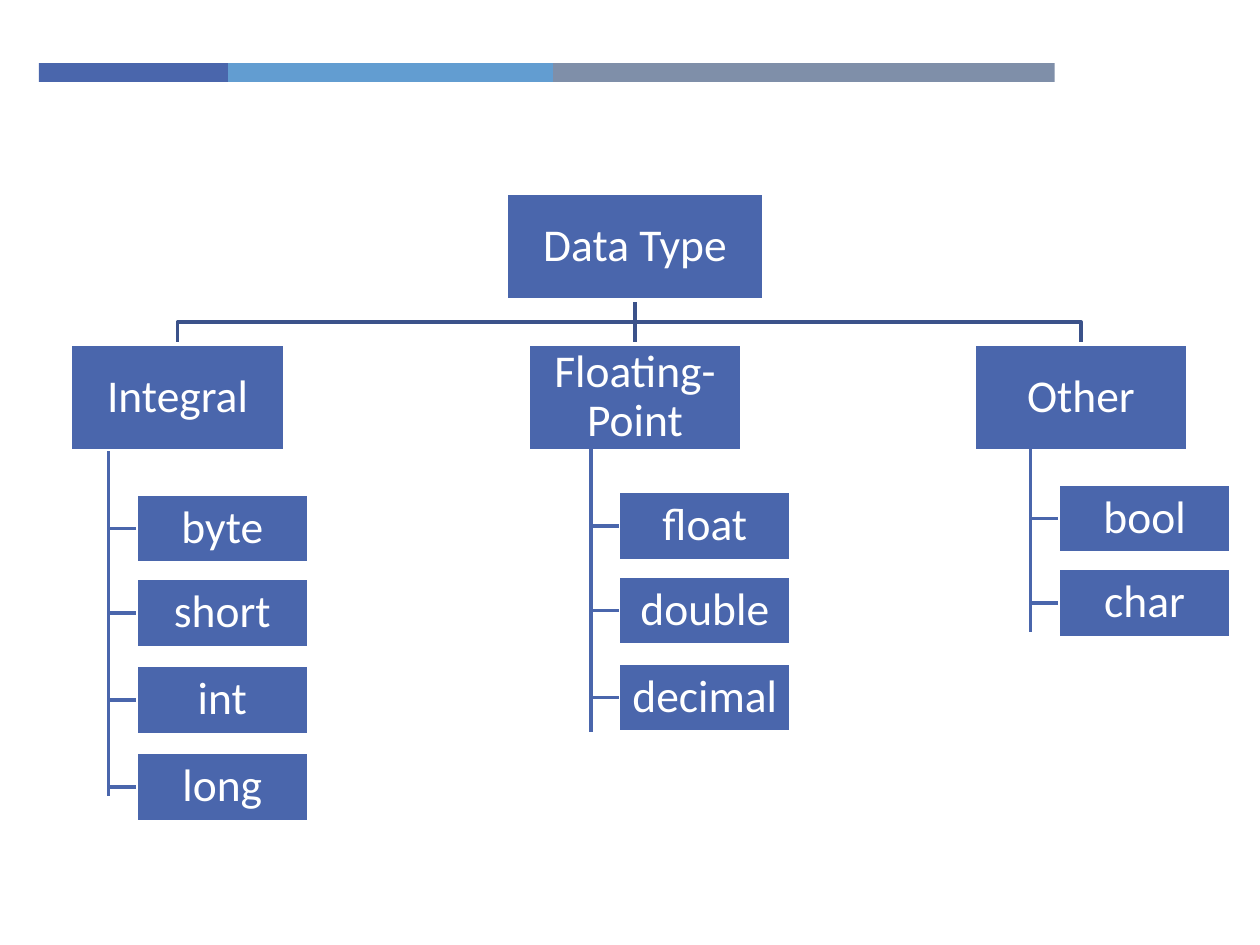
from dataclasses import dataclass

from lxml import etree
from pptx import Presentation
from pptx.dml.color import RGBColor
from pptx.enum.shapes import MSO_CONNECTOR, MSO_SHAPE
from pptx.enum.text import MSO_ANCHOR, PP_ALIGN
from pptx.oxml.ns import qn
from pptx.util import Inches, Pt

RECTANGLE = MSO_SHAPE.RECTANGLE
STRAIGHT = MSO_CONNECTOR.STRAIGHT
MIDDLE = MSO_ANCHOR.MIDDLE
CENTER = PP_ALIGN.CENTER

BLUE, DARK_BLUE, WHITE = "4A66AC", "3B528A", "FFFFFF"
LINE_WIDTH = Pt(2)
INSET = Inches(0.02)
FRAME_FORMAT = {
    "word_wrap": True,
    "vertical_anchor": MIDDLE,
    "margin_left": INSET,
    "margin_top": INSET,
    "margin_right": INSET,
    "margin_bottom": INSET,
}
PARAGRAPH_FORMAT = {"alignment": CENTER, "line_spacing": 0.9}
FONT_FORMAT = {"name": "Calibri", "size": Pt(26)}

ROOT_LEFT, ROOT_TOP, ROOT_WIDTH = 4.02, 1.53, 2.04
NODE_WIDTH, NODE_HEIGHT = 1.7, 0.85
LEAF_WIDTH, LEAF_HEIGHT = 1.37, 0.55
ROOT_CENTER = ROOT_LEFT + ROOT_WIDTH / 2
ROOT_BOTTOM = ROOT_TOP + NODE_HEIGHT
BRANCH_TOP = 2.73
ELBOW_TOP = (ROOT_BOTTOM + BRANCH_TOP) / 2
STUB_LENGTH = 0.22
TRUNK_RISE = 0.34
LEAF_OFFSETS = (0, 0.67, 1.36, 2.05)


@dataclass(frozen=True)
class Band:
    width: float
    color: str


@dataclass(frozen=True)
class Branch:
    name: str
    left: float
    trunk_left: float
    trunk_bottom: float
    leaf_top: float
    leaves: tuple[str, ...]

    @property
    def center(self) -> float:
        return self.left + NODE_WIDTH / 2


BANDS = (Band(1.5, BLUE), Band(2.58, "629DD1"), Band(3.98, "7F8FA9"))
BRANCHES = (
    Branch("Integral", 0.56, 0.86, 6.32, 3.92, ("byte", "short", "int", "long")),
    Branch("Floating-Point", 4.19, 4.69, 5.81, 3.9, ("float", "double", "decimal")),
    Branch("Other", 7.73, 8.18, 5.02, 3.84, ("bool", "char")),
)


def rgb(color: str) -> RGBColor:
    return RGBColor.from_string(color)


def apply_format(target, values: dict) -> None:
    for name, value in values.items():
        setattr(target, name, value)


def style_line(line, color: str) -> None:
    line.color.rgb = rgb(color)
    line.width = LINE_WIDTH


def add_box(page, left: float, top: float, width: float, height: float, color: str):
    box = page.shapes.add_shape(
        RECTANGLE, Inches(left), Inches(top), Inches(width), Inches(height)
    )
    box.shadow.inherit = False
    box.fill.solid()
    box.fill.fore_color.rgb = rgb(color)
    box.line.fill.background()
    return box


def add_node(page, text: str, left: float, top: float, width: float, height: float) -> None:
    box = add_box(page, left, top, width, height, BLUE)
    style_line(box.line, WHITE)
    apply_format(box.text_frame, FRAME_FORMAT)
    para = box.text_frame.paragraphs[0]
    apply_format(para, PARAGRAPH_FORMAT)
    span = para.add_run()
    span.text = text
    apply_format(span.font, FONT_FORMAT)
    span.font.color.rgb = rgb(WHITE)


def add_line(page, start: tuple[float, float], end: tuple[float, float], color: str) -> None:
    points = [Inches(value) for value in (*start, *end)]
    connector = page.shapes.add_connector(STRAIGHT, *points)
    style_line(connector.line, color)
    etree.SubElement(connector._element.spPr, qn("a:effectLst"))


def add_elbow(page, branch: Branch) -> None:
    corners = (
        (ROOT_CENTER, ROOT_BOTTOM),
        (ROOT_CENTER, ELBOW_TOP),
        (branch.center, ELBOW_TOP),
        (branch.center, BRANCH_TOP),
    )
    points = [(Inches(x), Inches(y)) for x, y in corners]
    builder = page.shapes.build_freeform(*points[0])
    builder.add_line_segments(points[1:], close=False)
    elbow = builder.convert_to_shape()
    elbow.shadow.inherit = False
    elbow.fill.background()
    style_line(elbow.line, DARK_BLUE)


def add_leaves(page, branch: Branch) -> None:
    trunk = branch.trunk_left
    leaf_left = trunk + STUB_LENGTH
    add_line(
        page, (trunk, branch.leaf_top - TRUNK_RISE), (trunk, branch.trunk_bottom), BLUE
    )
    for text, offset in zip(branch.leaves, LEAF_OFFSETS):
        top = branch.leaf_top + offset
        middle = top + LEAF_HEIGHT / 2
        add_node(page, text, leaf_left, top, LEAF_WIDTH, LEAF_HEIGHT)
        add_line(page, (trunk, middle), (leaf_left, middle), BLUE)


def main() -> None:
    deck = Presentation()
    deck.slide_width, deck.slide_height = Inches(10), Inches(7.5)
    page = deck.slides.add_slide(deck.slide_layouts[6])

    band_left = 0.31
    for band in BANDS:
        add_box(page, band_left, 0.5, band.width, 0.15, band.color)
        band_left += band.width

    integral, floating_point, other = BRANCHES
    add_elbow(page, other)
    add_line(page, (ROOT_CENTER, ROOT_BOTTOM), (floating_point.center, BRANCH_TOP), DARK_BLUE)
    add_elbow(page, integral)

    add_node(page, "Data Type", ROOT_LEFT, ROOT_TOP, ROOT_WIDTH, NODE_HEIGHT)
    for branch in BRANCHES:
        add_node(page, branch.name, branch.left, BRANCH_TOP, NODE_WIDTH, NODE_HEIGHT)
    for branch in BRANCHES:
        add_leaves(page, branch)

    deck.save("out.pptx")


if __name__ == "__main__":
    main()
